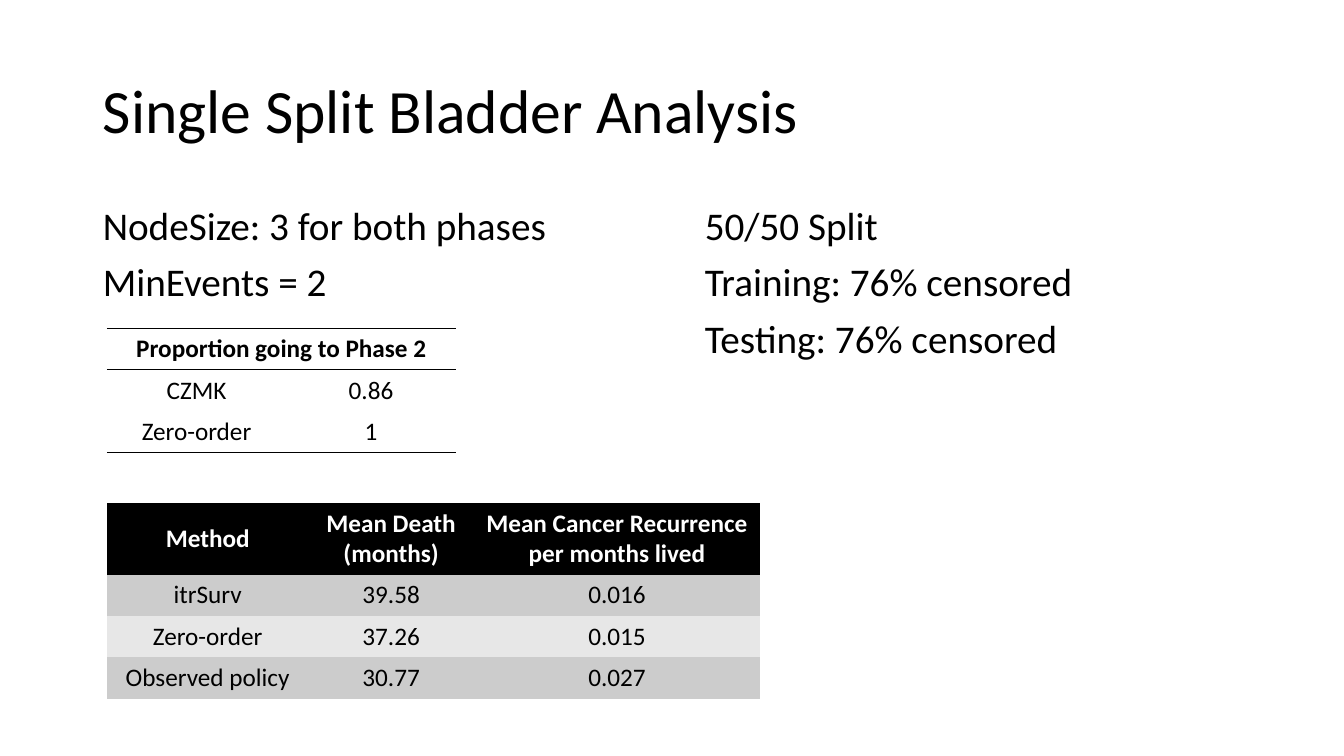
from pptx import Presentation
from pptx.dml.color import RGBColor
from pptx.enum.text import MSO_ANCHOR, PP_ALIGN
from pptx.oxml.ns import qn
from pptx.util import Inches, Pt
from lxml.etree import SubElement

FONT = "Calibri"
BLACK, WHITE = "000000", "FFFFFF"
BANDS = ["CCCCCC", "E7E7E7"]
NO_STYLE = "{2D5ABB26-0587-4C30-8999-92F81FD0307C}"
ROW_H = 0.41

TITLE = ("Single Split Bladder Analysis", (0.92, 0.4, 11.5, 1.45))
BODIES = [
    (["NodeSize: 3 for both phases", "MinEvents = 2"], (0.92, 2, 4.93, 4.76)),
    (["50/50 Split", "Training: 76% censored", "Testing: 76% censored"],
     (6.89, 2, 5.78, 1.92)),
]
PHASE_ROWS = [
    ["Proportion going to Phase 2", ""],
    ["CZMK", "0.86"],
    ["Zero-order", "1"],
]
METHOD_ROWS = [
    ["Method", "Mean Death\n(months)", "Mean Cancer Recurrence per months lived"],
    ["itrSurv", "39.58", "0.016"],
    ["Zero-order", "37.26", "0.015"],
    ["Observed policy", "30.77", "0.027"],
]


def rgb(color):
    return RGBColor.from_string(color)


def place(sp, box):
    sp.left, sp.top, sp.width, sp.height = map(Inches, box)


def style(p, size, color=BLACK, bold=False, align=PP_ALIGN.LEFT):
    p.alignment = align
    for r in p.runs:
        r.font.name, r.font.size, r.font.bold = FONT, Pt(size), bold
        r.font.color.rgb = rgb(color)


def remove_bullet(p):
    pPr = p._p.get_or_add_pPr()
    pPr.set("marL", "0")
    pPr.set("indent", "0")
    SubElement(pPr, qn("a:buNone"))


def add_border(cell, side, color):
    """Draw a 1 pt line on one side: L, R, T or B."""
    ln = SubElement(cell._tc.get_or_add_tcPr(), qn(f"a:ln{side}"), w=str(Pt(1)))
    fill = SubElement(ln, qn("a:solidFill"))
    SubElement(fill, qn("a:srgbClr"), val=color)


def add_table(slide, rows, left, top, widths, header_h, header_color):
    """Add an unstyled table with centred text and a bold header row."""
    heights = [header_h] + [ROW_H] * (len(rows) - 1)
    frame = slide.shapes.add_table(
        len(rows), len(widths), Inches(left), Inches(top),
        Inches(sum(widths)), Inches(sum(heights)))
    table = frame.table
    table._tbl.tblPr.find(qn("a:tableStyleId")).text = NO_STYLE
    table.horz_banding = False
    for col, width in zip(table.columns, widths):
        col.width = Inches(width)
    for i, (row, height) in enumerate(zip(rows, heights)):
        table.rows[i].height = Inches(height)
        for cell, text in zip(table.rows[i].cells, row):
            cell.text_frame.text = text
            cell.vertical_anchor = MSO_ANCHOR.MIDDLE
            for p in cell.text_frame.paragraphs:
                style(p, 18, BLACK if i else header_color, i == 0, PP_ALIGN.CENTER)
    return table


prs = Presentation()
prs.slide_width, prs.slide_height = Inches(13.33), Inches(7.5)
slide = prs.slides.add_slide(prs.slide_layouts[3])
title, *bodies = slide.placeholders

text, box = TITLE
place(title, box)
title.text_frame.text = text
title.text_frame.vertical_anchor = MSO_ANCHOR.MIDDLE
title.text_frame.paragraphs[0].line_spacing = 0.9
style(title.text_frame.paragraphs[0], 44)

for sp, (lines, box) in zip(bodies, BODIES):
    place(sp, box)
    sp.text_frame.text = "\n".join(lines)
    for p in sp.text_frame.paragraphs:
        p.line_spacing, p.space_before = 0.9, Pt(10)
        style(p, 28)
        remove_bullet(p)

methods = add_table(slide, METHOD_ROWS, 1.06, 4.99, [2, 1.64, 2.84], 0.7, WHITE)
for i, row in enumerate(methods.rows):
    for cell in row.cells:
        cell.fill.solid()
        cell.fill.fore_color.rgb = rgb(BANDS[(i - 1) % 2] if i else BLACK)

phases = add_table(slide, PHASE_ROWS, 1.06, 3.26, [1.78, 1.68], ROW_H, BLACK)
phases.cell(0, 0).merge(phases.cell(0, 1))
for row, sides in zip(phases.rows, ["TB", "", "B"]):
    for cell in row.cells:
        for side in sides:
            add_border(cell, side, BLACK)
        cell.fill.background()

prs.save("out.pptx")
